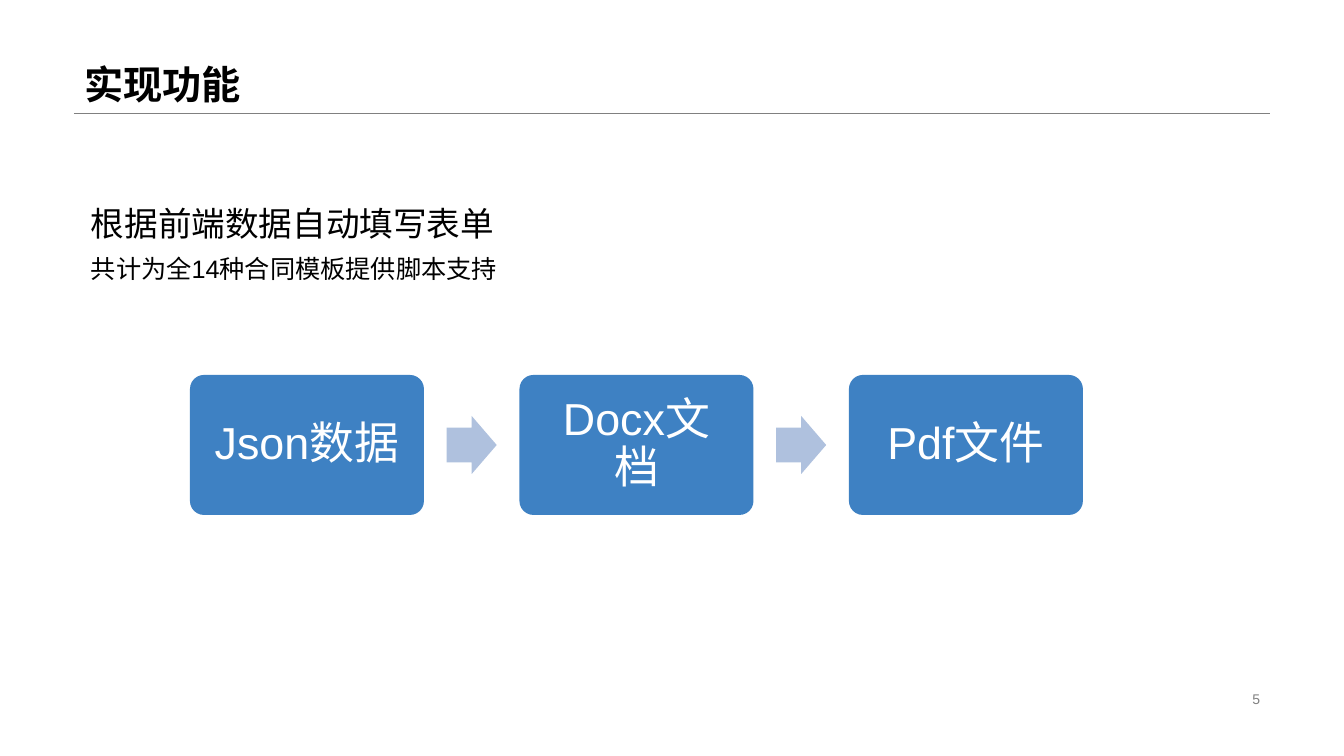
from lxml.etree import SubElement
from pptx import Presentation
from pptx.dml.color import RGBColor
from pptx.enum.shapes import MSO_CONNECTOR, MSO_SHAPE
from pptx.enum.text import MSO_ANCHOR as Anchor, MSO_AUTO_SIZE as AutoSize, PP_ALIGN as Align
from pptx.oxml.ns import qn
from pptx.util import Emu, Pt

BLACK = RGBColor(0x00, 0x00, 0x00)
WHITE = RGBColor(0xFF, 0xFF, 0xFF)
GRAY = RGBColor(0x80, 0x80, 0x80)
STEP_BLUE = RGBColor(0x3E, 0x81, 0xC3)
ARROW_BLUE = RGBColor(0xAF, 0xC1, 0xDE)
FONT = "Arial"
PIXELS_PER_INCH = 100.8


def px(length):
    """Turn pixels into EMU."""
    return Emu(round(length * 914400 / PIXELS_PER_INCH))


def write(frame, text, size, color, bold=False, align=Align.LEFT, anchor=Anchor.TOP, spacing=1.0):
    """Write one formatted run into a wrapping text frame."""
    frame.word_wrap = True
    frame.auto_size = AutoSize.NONE
    frame.vertical_anchor = anchor
    para = frame.paragraphs[0]
    para.alignment = align
    para.line_spacing = spacing
    span = para.add_run()
    span.text = text
    span.font.name = FONT
    span.font.size = Pt(size)
    span.font.bold = bold
    span.font.color.rgb = color


def add_text(page, box, text, size, color, **options):
    """Add a text box at the given pixel box."""
    holder = page.shapes.add_textbox(*map(px, box))
    write(holder.text_frame, text, size, color, **options)


def add_solid(page, kind, box, fill, adjustments):
    """Add a flat preset shape without an outline or shadow."""
    shape = page.shapes.add_shape(kind, *map(px, box))
    shape.shadow.inherit = False
    shape.fill.solid()
    shape.fill.fore_color.rgb = fill
    shape.line.fill.background()
    for index, value in enumerate(adjustments):
        shape.adjustments[index] = value
    return shape


def add_header(page, box, text):
    """Format the title and rule off its lower edge."""
    left, top, width, height = box
    title = page.shapes.title
    title.left, title.top, title.width, title.height = map(px, box)
    write(title.text_frame, text, 28, BLACK, bold=True, anchor=Anchor.BOTTOM, spacing=0.9)
    bottom = top + height
    rule = page.shapes.add_connector(
        MSO_CONNECTOR.STRAIGHT, px(left), px(bottom), px(left + width), px(bottom))
    rule.line.color.rgb = GRAY
    rule.line.width = Pt(0.25)
    SubElement(rule.element.spPr, qn("a:effectLst"))


def add_summary(page, box, heading, detail):
    """Add the heading with its detail below."""
    left, top, width, height = box
    heading_height = 50
    add_text(page, (left, top, width, heading_height), heading, 24, BLACK)
    add_text(page, (left, top + heading_height, 430, height - heading_height), detail, 18, BLACK)


def add_process(page, box, labels):
    """Spread the steps evenly over the box with an arrow in each gap."""
    left, top, width, height = box
    step_width, arrow_width, arrow_height = 234, 50, 58
    pitch = (width - step_width) / (len(labels) - 1)
    for index, label in enumerate(labels):
        step_left = left + index * pitch
        step = add_solid(page, MSO_SHAPE.ROUNDED_RECTANGLE,
                         (step_left, top, step_width, height), STEP_BLUE, [0.1])
        frame = step.text_frame
        frame.margin_left = frame.margin_right = px(17)
        write(frame, label, 32, WHITE, align=Align.CENTER, anchor=Anchor.MIDDLE, spacing=0.9)
        if index < len(labels) - 1:
            arrow_left = step_left + (step_width + pitch - arrow_width) / 2
            arrow_top = top + (height - arrow_height) / 2
            add_solid(page, MSO_SHAPE.RIGHT_ARROW,
                      (arrow_left, arrow_top, arrow_width, arrow_height), ARROW_BLUE, [0.6, 0.5])


def build():
    """Build and save the deck."""
    deck = Presentation()
    deck.slide_width, deck.slide_height = px(1344), px(756)
    page = deck.slides.add_slide(deck.slide_layouts[5])
    add_header(page, (74, 0, 1196, 113), "实现功能")
    add_summary(page, (81, 198, 523, 120), "根据前端数据自动填写表单", "共计为全14种合同模板提供脚本支持")
    add_process(page, (190, 375, 893, 140), ["Json数据", "Docx文档", "Pdf文件"])
    add_text(page, (949, 687, 321, 24), "5", 10, GRAY, align=Align.RIGHT, anchor=Anchor.MIDDLE)
    deck.save("out.pptx")


build()
